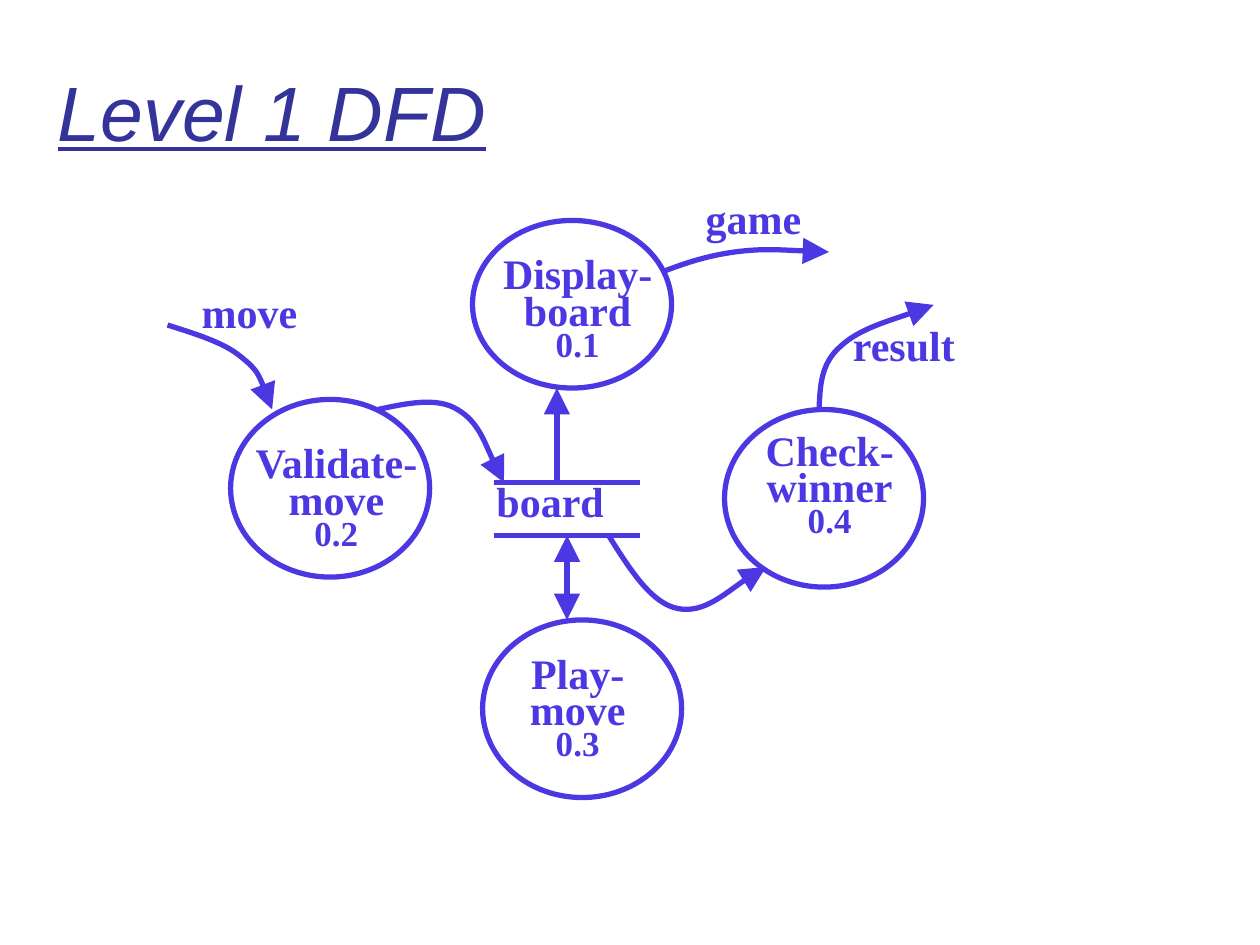
from dataclasses import dataclass

from lxml import etree
from pptx import Presentation
from pptx.dml.color import RGBColor
from pptx.enum import shapes, text
from pptx.oxml import ns
from pptx.util import Inches, Pt


@dataclass(frozen=True)
class Theme:
    """Colours, fonts and sizes of the slide."""
    title_color: RGBColor = RGBColor(0x33, 0x33, 0x99)
    ink: RGBColor = RGBColor(0x4C, 0x38, 0xE2)
    title_font: str = "Arial"
    label_font: str = "Times New Roman"
    title_size: Pt = Pt(44)
    label_size: Pt = Pt(24)
    number_size: Pt = Pt(20)
    line_width: Pt = Pt(3)
    line_spacing: float = 0.72


THEME = Theme()
BOTH_ENDS = ("headEnd", "tailEnd")
TARGET_END = ("tailEnd",)


def set_margins(frame, top=0.05):
    """Give a text frame the narrow insets of the slide."""
    frame.margin_left = frame.margin_right = Inches(0.02)
    frame.margin_top, frame.margin_bottom = Inches(top), Inches(0.05)
    frame.word_wrap = True
    frame.auto_size = text.MSO_AUTO_SIZE.NONE


def style_line(shape, arrow_ends=()):
    """Draw a shape's line in the theme ink, with large arrowheads."""
    shape.line.color.rgb = THEME.ink
    shape.line.width = THEME.line_width
    for end in arrow_ends:
        etree.SubElement(shape.line._get_or_add_ln(), ns.qn(f"a:{end}"),
                         type="triangle", w="lg", len="lg")


def add_title(slide, left, top, width, height, words):
    """Place and format the title placeholder."""
    title = slide.shapes.title
    title.left, title.top = Inches(left), Inches(top)
    title.width, title.height = Inches(width), Inches(height)
    frame = title.text_frame
    set_margins(frame, top=0.15)
    frame.vertical_anchor = text.MSO_ANCHOR.MIDDLE
    frame.text = words
    paragraph = frame.paragraphs[0]
    paragraph.alignment = text.PP_ALIGN.LEFT
    font = paragraph.font
    font.name, font.size = THEME.title_font, THEME.title_size
    font.italic = font.underline = True
    font.color.rgb = THEME.title_color


def add_label(slide, left, top, width, height, words, number=None):
    """Add a bold label, centred above its number if it has one."""
    box = slide.shapes.add_textbox(Inches(left), Inches(top), Inches(width), Inches(height))
    frame = box.text_frame
    set_margins(frame)
    paragraph = frame.paragraphs[0]
    paragraph.line_spacing = THEME.line_spacing
    font = paragraph.font
    font.name, font.size, font.bold = THEME.label_font, THEME.label_size, True
    font.color.rgb = THEME.ink
    paragraph.add_run().text = words
    if number:
        paragraph.alignment = text.PP_ALIGN.CENTER
        paragraph.add_line_break()
        run = paragraph.add_run()
        run.text = number
        run.font.size = THEME.number_size


def add_process(slide, left, top, height, name, number, label_offset, label_width=1.33):
    """Add a process ellipse and its label, offset from the ellipse's corner."""
    ellipse = slide.shapes.add_shape(shapes.MSO_SHAPE.OVAL, Inches(left), Inches(top),
                                     Inches(1.58), Inches(height))
    ellipse.shadow.inherit = False
    ellipse.fill.background()
    style_line(ellipse)
    across, down = label_offset
    add_label(slide, left + across, top + down, label_width, 1.23, name, number)


def add_straight(slide, start, end, arrow_ends=()):
    """Add a straight line between two points."""
    connector = slide.shapes.add_connector(shapes.MSO_CONNECTOR.STRAIGHT,
                                           *map(Inches, start + end))
    etree.SubElement(connector._element.spPr, ns.qn("a:effectLst"))
    style_line(connector, arrow_ends)


def add_curve(slide, start, *points):
    """Add an arrow of cubic curves, each given by three points."""
    builder = slide.shapes.build_freeform(*map(Inches, start))
    builder.add_line_segments([tuple(map(Inches, point)) for point in points], close=False)
    curve = builder.convert_to_shape()
    segments = list(curve._element.iter(ns.qn("a:lnTo")))
    for first in range(0, len(segments), 3):
        bezier = etree.SubElement(segments[first].getparent(), ns.qn("a:cubicBezTo"))
        for segment in segments[first:first + 3]:
            bezier.append(segment[0])
            segment.getparent().remove(segment)
    curve.shadow.inherit = False
    curve.fill.background()
    style_line(curve, TARGET_END)


def add_data_store(slide, left, top, width, height, name):
    """Add a data store: a name between two parallel lines."""
    add_label(slide, left, top, 1.08, 0.5, name)
    for y in (top, top + height):
        add_straight(slide, (left, y), (left + width, y))


def add_flows(slide):
    """Add the arrows of the data flows and their names."""
    add_straight(slide, (4.42, 3.83), (4.42, 3.08), TARGET_END)
    add_straight(slide, (4.5, 4.25), (4.5, 4.92), BOTH_ENDS)
    curves = (
        ((4.83, 4.25), (5, 4.52), (5.17, 4.79), (5.38, 4.83),
         (5.59, 4.87), (5.96, 4.55), (6.08, 4.5)),
        ((3, 3.25), (3.23, 3.2), (3.47, 3.15), (3.63, 3.25),
         (3.8, 3.35), (3.94, 3.73), (4, 3.83)),
        ((1.33, 2.58), (1.55, 2.65), (1.78, 2.72), (1.91, 2.83),
         (2.05, 2.94), (2.11, 3.09), (2.16, 3.25)),
        ((6.5, 3.25), (6.51, 3.07), (6.51, 2.89), (6.67, 2.75),
         (6.82, 2.61), (7.29, 2.47), (7.41, 2.42)),
        ((5.25, 2.16), (5.43, 2.09), (5.61, 2.03), (5.83, 2),
         (6.05, 1.97), (6.32, 1.99), (6.58, 2)),
    )
    for points in curves:
        add_curve(slide, *points)
    add_label(slide, 1.58, 2.33, 1.16, 0.5, "move")
    add_label(slide, 6.75, 2.59, 1.16, 0.5, "result")
    add_label(slide, 5.58, 1.58, 1.5, 0.5, "game")


def main():
    """Build the data flow diagram slide."""
    presentation = Presentation()
    presentation.slide_width, presentation.slide_height = Inches(10), Inches(7.5)
    slide = presentation.slides.add_slide(presentation.slide_layouts[5])
    add_title(slide, 0.44, 0.2, 8.5, 1.25, "Level 1 DFD")
    add_process(slide, 3.75, 1.75, 1.33, "Display-board", "0.1", (0.17, 0.27))
    add_process(slide, 1.83, 3.17, 1.41, "Validate-move", "0.2", (0.09, 0.35), 1.5)
    add_process(slide, 3.83, 4.92, 1.41, "Play-move", "0.3", (0.09, 0.27))
    add_process(slide, 5.75, 3.25, 1.41, "Check-winner", "0.4", (0.17, 0.17))
    add_data_store(slide, 3.92, 3.83, 1.16, 0.42, "board")
    add_flows(slide)
    presentation.save("out.pptx")


if __name__ == "__main__":
    main()
